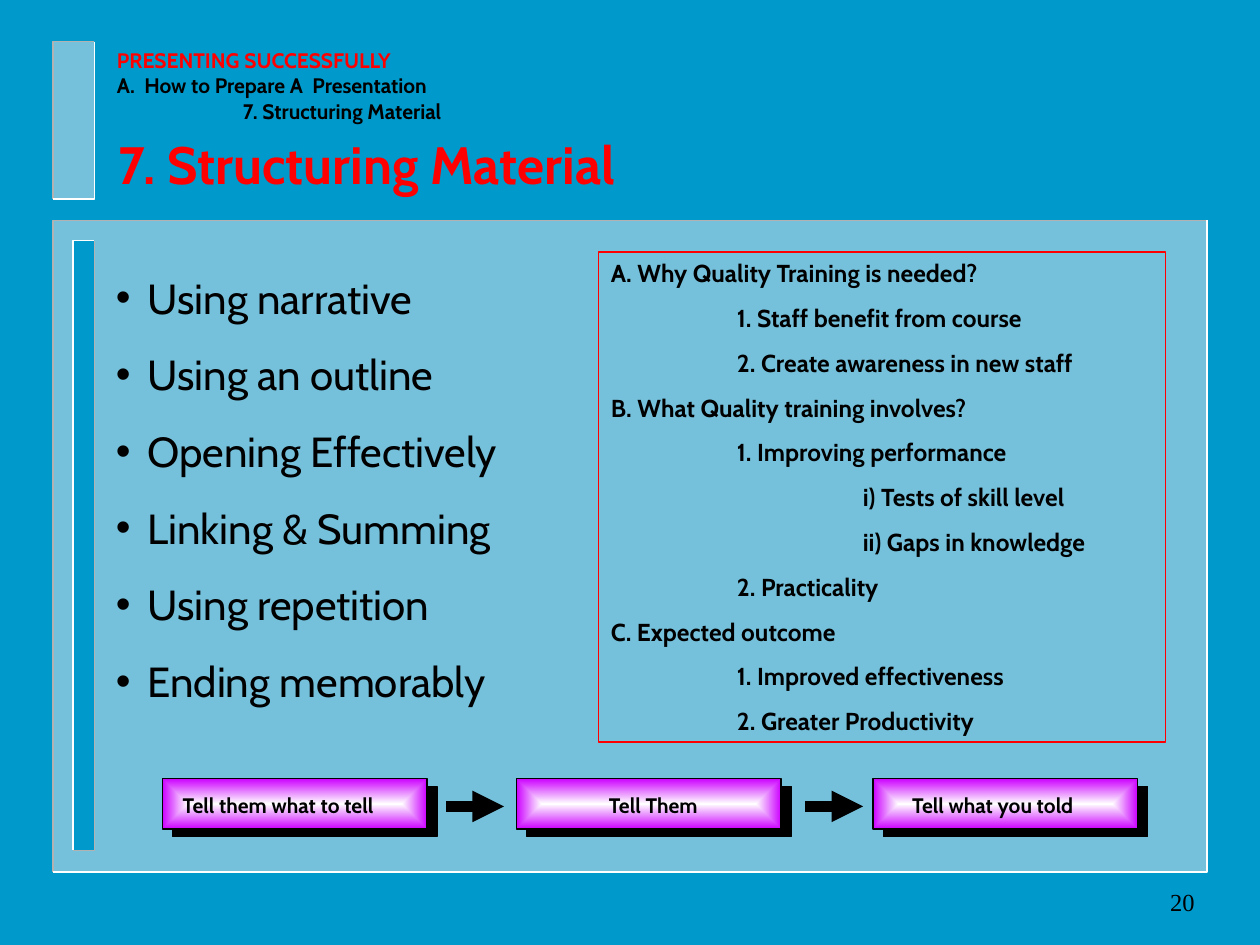
from dataclasses import dataclass

from lxml import etree
from pptx import Presentation
from pptx.dml.color import RGBColor
from pptx.enum.shapes import MSO_CONNECTOR, MSO_SHAPE
from pptx.enum.text import MSO_ANCHOR, MSO_AUTO_SIZE, PP_ALIGN
from pptx.oxml.ns import qn
from pptx.util import Inches, Pt

RECT = MSO_SHAPE.RECTANGLE
LINE = MSO_CONNECTOR.STRAIGHT
TOP, MIDDLE = MSO_ANCHOR.TOP, MSO_ANCHOR.MIDDLE
NO_FIT = MSO_AUTO_SIZE.NONE
LEFT, CENTER, RIGHT = PP_ALIGN.LEFT, PP_ALIGN.CENTER, PP_ALIGN.RIGHT

BLUE, PALE, GREY, WHITE = "0099CC", "EAEAEA", "B2B2B2", "FFFFFF"
RED, BLACK, PURPLE = "FF0000", "000000", "CC00FF"
THIN = 0.75


@dataclass
class Panel:
    """A bevelled rectangle of the slide frame."""
    x: float
    y: float
    w: float
    h: float
    fill: str
    alpha: int
    top_left: str
    bottom_right: str


@dataclass
class Step:
    """A shadowed box with its label, in the row at the bottom."""
    x: float
    text: str
    text_x: float
    text_w: float
    align: PP_ALIGN = LEFT


PANELS = [
    Panel(0.42, 1.75, 9.16, 5.17, PALE, 50, GREY, WHITE),
    Panel(0.58, 1.91, 0.17, 4.84, BLUE, 100, WHITE, GREY),
    Panel(0.42, 0.33, 0.33, 1.25, PALE, 50, GREY, WHITE),
]
STEPS = [
    Step(1.29, "Tell them what to tell", 1.35, 1.98),
    Step(4.10, "Tell Them", 4.68, 1.01, CENTER),
    Step(6.93, "Tell what you told", 7.14, 1.69),
]
ARROW_STARTS = [3.54, 6.39]
TOPICS = ["Using narrative", "Using an outline", "Opening Effectively",
          "Linking & Summing", "Using repetition", "Ending memorably"]
OUTLINE = [
    (0, "A. Why Quality Training is needed?"),
    (1, "1. Staff benefit from course"),
    (1, "2. Create awareness in new staff"),
    (0, "B. What Quality training involves?"),
    (1, "1. Improving performance"),
    (2, "i) Tests of skill level"),
    (2, "ii) Gaps in knowledge"),
    (1, "2. Practicality"),
    (0, "C. Expected outcome"),
    (1, "1. Improved effectiveness"),
    (1, "2. Greater Productivity"),
]


def rgb(color: str) -> RGBColor:
    """Turn a hex string into a colour."""
    return RGBColor.from_string(color)


def sub(parent, tag: str, **attrs):
    """Append a DrawingML element."""
    return etree.SubElement(parent, qn(tag), attrs)


def place(sp, x: float, y: float, w: float, h: float) -> None:
    """Move and size a shape, in inches."""
    sp.left, sp.top, sp.width, sp.height = map(Inches, (x, y, w, h))


def set_frame(sp, anchor=TOP, wrap: bool = True):
    """Prepare the text frame of a shape and return it."""
    tf = sp.text_frame
    tf.word_wrap, tf.auto_size, tf.vertical_anchor = wrap, NO_FIT, anchor
    return tf


def add_text(tf, text: str, *, size: float = 12, color: str = BLACK,
             bold: bool = True, font: str = "Cabin", align=LEFT,
             level: int = 0, before: float = 0, bullet: bool = False) -> None:
    """Write a paragraph, indented by one inch for each level."""
    p = tf.paragraphs[0] if not tf.text else tf.add_paragraph()
    p.alignment, p.space_before = align, Pt(before)
    pPr = p._p.get_or_add_pPr()
    pPr.set("marL", str(Inches(0.25 if bullet else level)))
    pPr.set("indent", str(Inches(-0.25 if bullet else 0)))
    if bullet:
        sub(pPr, "a:buChar", char="•")
    r = p.add_run()
    r.text = text
    r.font.size, r.font.bold, r.font.name = Pt(size), bold, font
    r.font.color.rgb = rgb(color)


def add_label(s, x: float, y: float, w: float, h: float, text: str,
              anchor=TOP, **fmt) -> None:
    """Add a one-line text box."""
    sp = s.shapes.add_textbox(*map(Inches, (x, y, w, h)))
    add_text(set_frame(sp, anchor, wrap=False), text, **fmt)


def add_rect(s, x: float, y: float, w: float, h: float,
             fill: str | None = None, line: str | None = None,
             alpha: int = 100):
    """Add a rectangle; alpha is the opacity of its fill in percent."""
    sp = s.shapes.add_shape(RECT, *map(Inches, (x, y, w, h)))
    sp.shadow.inherit = False
    if fill:
        sp.fill.solid()
        sp.fill.fore_color.rgb = rgb(fill)
        if alpha < 100:
            clr = sp._element.spPr.find(qn("a:solidFill"))[0]
            sub(clr, "a:alpha", val=str(alpha * 1000))
    else:
        sp.fill.background()
    if line:
        sp.line.color.rgb, sp.line.width = rgb(line), Pt(THIN)
    else:
        sp.line.fill.background()
    return sp


def add_edge(s, points: list[tuple[float, float]], color: str) -> None:
    """Draw an open line through the points."""
    pts = [(Inches(x), Inches(y)) for x, y in points]
    fb = s.shapes.build_freeform(*pts[0])
    sp = fb.add_line_segments(pts[1:], close=False).convert_to_shape()
    sp.shadow.inherit = False
    sp.fill.background()
    sp.line.color.rgb, sp.line.width = rgb(color), Pt(1)


def add_panel(s, panel: Panel) -> None:
    """Add a rectangle with a light and a dark pair of edges."""
    x, y, w, h = panel.x, panel.y, panel.w, panel.h
    add_rect(s, x, y, w, h, panel.fill, alpha=panel.alpha)
    ends = (x + w, y), (x, y + h)
    add_edge(s, [ends[0], (x, y), ends[1]], panel.top_left)
    add_edge(s, [ends[0], (x + w, y + h), ends[1]], panel.bottom_right)


def fill_glow(sp, inner: str, outer: str) -> None:
    """Fill a shape with a rectangular gradient from its centre."""
    spPr = sp._element.spPr
    old = spPr.find(qn("a:solidFill"))
    grad = etree.Element(qn("a:gradFill"), rotWithShape="1")
    stops = sub(grad, "a:gsLst")
    for pos, color in (("0", inner), ("100000", outer)):
        sub(sub(stops, "a:gs", pos=pos), "a:srgbClr", val=color)
    half = dict.fromkeys("ltrb", "50000")
    sub(sub(grad, "a:path", path="rect"), "a:fillToRect", **half)
    spPr.replace(old, grad)


def add_step(s, step: Step) -> None:
    """Add a glowing box over its black shadow, then its label."""
    add_rect(s, step.x + 0.08, 6.24, 2.1, 0.4, BLACK, BLACK)
    fill_glow(add_rect(s, step.x, 6.18, 2.1, 0.4, WHITE, BLACK), WHITE, PURPLE)
    add_label(s, step.text_x, 6.24, step.text_w, 0.3, step.text, align=step.align)


def add_arrow(s, x: float, y: float, length: float) -> None:
    """Add a thick arrow pointing right."""
    cxn = s.shapes.add_connector(LINE, *map(Inches, (x, y, x + length, y)))
    cxn.line.color.rgb, cxn.line.width = rgb(BLACK), Pt(6)
    sub(cxn.line._get_or_add_ln(), "a:tailEnd", type="triangle")
    sub(cxn._element.spPr, "a:effectLst")


prs = Presentation()
prs.slide_width, prs.slide_height = Inches(10), Inches(7.5)
s = prs.slides.add_slide(prs.slide_layouts[1])
s.background.fill.solid()
s.background.fill.fore_color.rgb = rgb(BLUE)
title, body = s.placeholders

for panel in PANELS:
    add_panel(s, panel)
# Placeholders come first in the tree, so bring them above the panels.
for sp in (title, body):
    s.shapes._spTree.append(sp._element)

place(title, 0.84, 1, 4.93, 0.6)
add_text(set_frame(title, wrap=False), "7. Structuring Material", size=30, color=RED)
place(body, 0.82, 2.11, 4.21, 3.54)
tf = set_frame(body)
for topic in TOPICS:
    add_text(tf, topic, size=24, bold=False, before=15, bullet=True)

tf = set_frame(s.shapes.add_textbox(*map(Inches, (0.83, 0.33, 4.5, 0.7))))
add_text(tf, "PRESENTING SUCCESSFULLY", color=RED)
add_text(tf, "A.  How to Prepare A  Presentation")
add_text(tf, "7. Structuring Material", level=1)

tf = set_frame(add_rect(s, 4.75, 2, 4.5, 3.89, line=RED))
for level, text in OUTLINE:
    add_text(tf, text, size=14, level=level, before=8.8)

for step in STEPS:
    add_step(s, step)
for x in ARROW_STARTS:
    add_arrow(s, x, 6.4, 0.46)
add_label(s, 7.5, 6.91, 2.08, 0.5, "20", MIDDLE, size=14, bold=False,
          font="Times New Roman", align=RIGHT)

prs.save("out.pptx")
